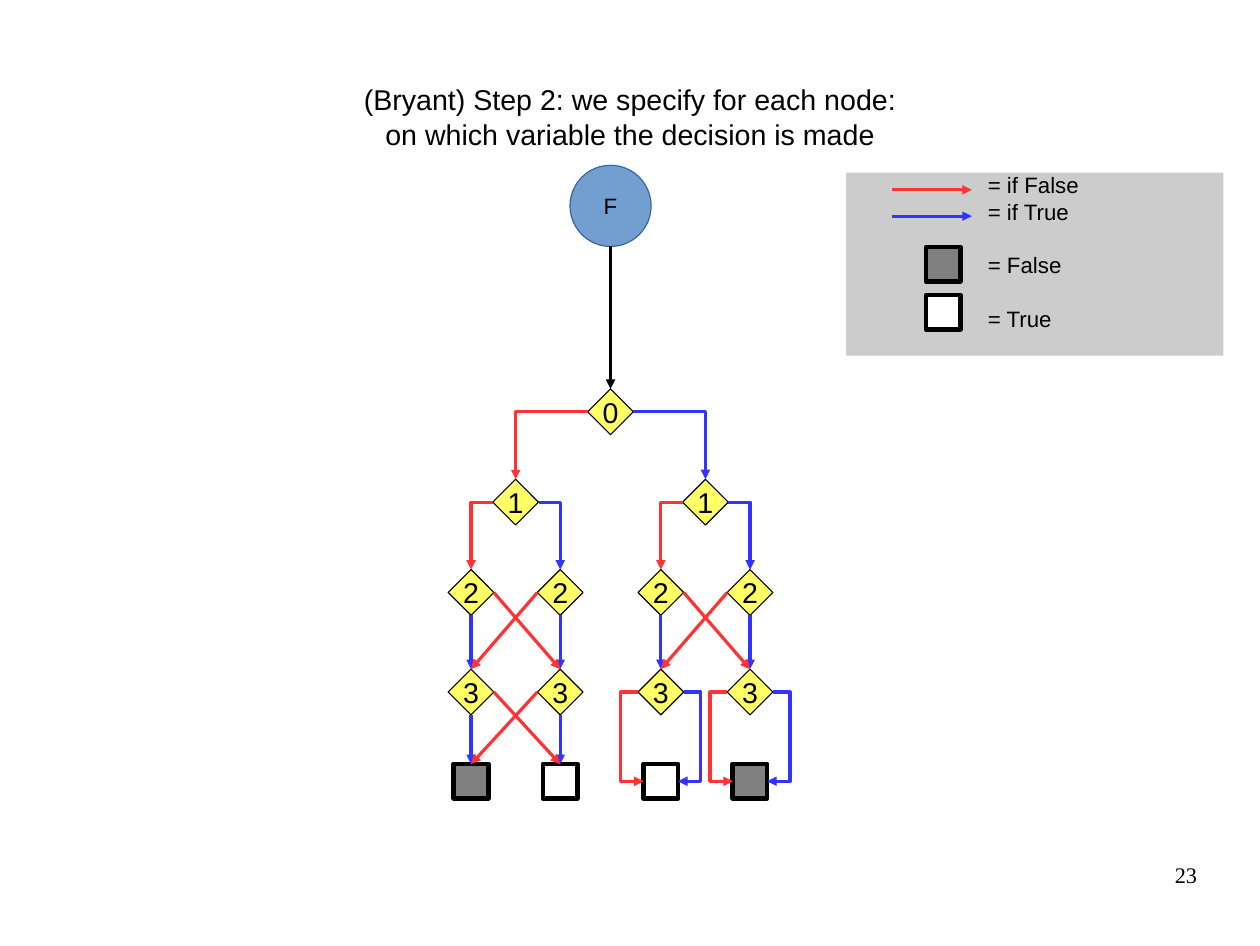
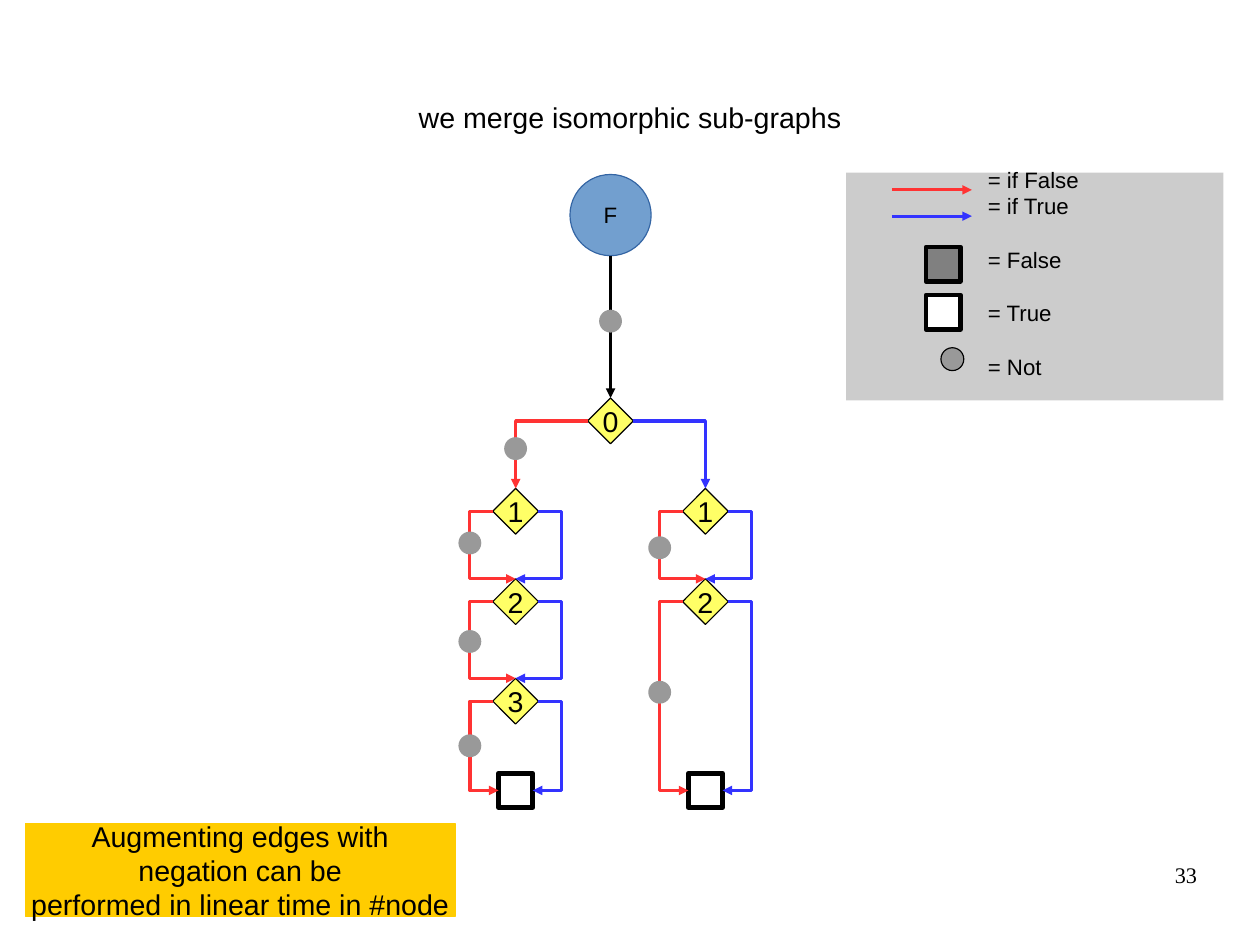
from lxml import etree
from pptx import Presentation
from pptx.dml.color import RGBColor
from pptx.enum.shapes import MSO_CONNECTOR, MSO_SHAPE
from pptx.enum.text import MSO_ANCHOR, PP_ALIGN
from pptx.oxml.ns import qn
from pptx.util import Inches, Pt

RECTANGLE, ELLIPSE, DIAMOND = MSO_SHAPE.RECTANGLE, MSO_SHAPE.OVAL, MSO_SHAPE.DIAMOND
STRAIGHT, ELBOW = MSO_CONNECTOR.STRAIGHT, MSO_CONNECTOR.ELBOW
LEFT, CENTER, RIGHT = PP_ALIGN.LEFT, PP_ALIGN.CENTER, PP_ALIGN.RIGHT
TOP, MIDDLE = MSO_ANCHOR.TOP, MSO_ANCHOR.MIDDLE

COLORS = {
    "text": "000000", "if_false": "FF3333", "if_true": "3333FF", "entry": "000000",
    "False": "808080", "True": "FFFFFF", "node": "FFFF66", "not": "999999",
    "function": "729FCF", "function_line": "3465A4", "legend": "CCCCCC", "note": "FFCC00",
}
SLIDE_SIZE = (11.02, 8.27)
FONT, NUMBER_FONT = "Arial", "Times New Roman"

# Diagram grid: column centres, and row centres measured from the root node
ROOT_X, HALF, QUARTER = 5.34, 0.83, 0.39
COLUMNS = {"m": ROOT_X}
for side_name, side_x in (("l", ROOT_X - HALF), ("r", ROOT_X + HALF)):
    COLUMNS.update({side_name: side_x, side_name + "1": side_x - QUARTER,
                    side_name + "2": side_x + QUARTER})
ROWS = {"F": -1.8, "0": 0, "1": 0.79, "2": 1.58, "3": 2.45, "False": 3.23, "True": 3.23}
NODE, LEAF, FUNCTION, NOT = 0.4, 0.3, 0.71, 0.2

# Edges: from "row column", to "row column", branch, route, place of a negation along it
LAYERED_EDGES = [
    ("F m", "0 m", "entry", "straight", None),
    ("0 m", "1 l", "if_false", "corner", None),
    ("0 m", "1 r", "if_true", "corner", None),
    ("1 l", "2 l1", "if_false", "corner", None),
    ("1 l", "2 l2", "if_true", "corner", None),
    ("1 r", "2 r1", "if_false", "corner", None),
    ("1 r", "2 r2", "if_true", "corner", None),
]
for upper, lower_pair, pair in (("2", ("3", "3"), "l"), ("2", ("3", "3"), "r"),
                                ("3", ("False", "True"), "l")):
    first, second = f"{upper} {pair}1", f"{upper} {pair}2"
    first_end, second_end = f"{lower_pair[0]} {pair}1", f"{lower_pair[1]} {pair}2"
    LAYERED_EDGES += [
        (first, first_end, "if_true", "straight", None),
        (second, second_end, "if_true", "straight", None),
        (first, second_end, "if_false", "cross", None),
        (second, first_end, "if_false", "cross", None),
    ]
for start, leaf in (("3 r1", "True r1"), ("3 r2", "False r2")):
    LAYERED_EDGES += [(start, leaf, branch, "loop", None) for branch in ("if_false", "if_true")]

MERGED_EDGES = [
    ("F m", "0 m", "entry", "straight", 0.46),
    ("0 m", "1 l", "if_false", "corner", 0.41),
    ("0 m", "1 r", "if_true", "corner", None),
]
for start, end, share in (("1 l", "2 l", 0.47), ("2 l", "3 l", 0.52), ("3 l", "True l", 0.5),
                          ("1 r", "2 r", 0.54), ("2 r", "True r", 0.48)):
    MERGED_EDGES += [(start, end, "if_false", "loop", share), (start, end, "if_true", "loop", None)]

LEGEND = ["= if False", "= if True", "= False", "= True"]
SLIDES = [
    {"title": ["(Bryant) Step 2: we specify for each node:",
               "on which variable the decision is made"],
     "number": "23", "root_y": 3.6, "reach": 0.15, "edges": LAYERED_EDGES,
     "legend": LEGEND, "legend_height": 1.6, "legend_text_top": 1.5, "note": []},
    {"title": ["we merge isomorphic sub-graphs"],
     "number": "33", "root_y": 3.68, "reach": 0.2, "edges": MERGED_EDGES,
     "legend": LEGEND + ["= Not"], "legend_height": 1.99, "legend_text_top": 1.45,
     "note": ["Augmenting edges with", "negation can be", "performed in linear time in #node"]},
]


def color(name):
    return RGBColor.from_string(COLORS[name])


def write(shape, lines, size, align=CENTER, anchor=MIDDLE, font=FONT):
    """Fill a shape with one paragraph per line and return the paragraphs."""
    frame = shape.text_frame
    frame.margin_left = frame.margin_right = frame.margin_top = frame.margin_bottom = 0
    frame.word_wrap = False
    frame.vertical_anchor = anchor
    paragraphs = []
    for index, line in enumerate(lines):
        paragraph = frame.add_paragraph() if index else frame.paragraphs[0]
        paragraph.alignment = align
        run = paragraph.add_run()
        run.text = line
        run.font.size, run.font.name = Pt(size), font
        run.font.color.rgb = color("text")
        paragraphs.append(paragraph)
    return paragraphs


def add_text(slide, box, lines, size, **style):
    text_box = slide.shapes.add_textbox(*map(Inches, box))
    paragraphs = write(text_box, lines, size, **style)
    text_box.text_frame.word_wrap = True
    return paragraphs


def add_box(slide, kind, box, fill, line=None, width=0):
    shape = slide.shapes.add_shape(kind, *map(Inches, box))
    shape.shadow.inherit = False
    shape.fill.solid()
    shape.fill.fore_color.rgb = color(fill)
    if line:
        shape.line.color.rgb = color(line)
        shape.line.width = Pt(width)
    else:
        shape.line.fill.background()
    return shape


def centered(x, y, size):
    return x - size / 2, y - size / 2, size, size


def add_arrow(slide, kind, begin, end, line):
    arrow = slide.shapes.add_connector(kind, *map(Inches, begin + end))
    arrow.line.color.rgb = color(line)
    arrow.line.width = Pt(0)
    etree.SubElement(arrow.get_or_add_ln(), qn("a:tailEnd"), type="triangle")
    etree.SubElement(arrow._element.spPr, qn("a:effectLst"))
    return arrow


def add_node(slide, key, root_y):
    label, column = key.split()
    x, y = COLUMNS[column], root_y + ROWS[label]
    if label in ("False", "True"):
        return add_box(slide, RECTANGLE, centered(x, y, LEAF), label, "text", 3)
    if label == "F":
        shape = add_box(slide, ELLIPSE, centered(x, y, FUNCTION), "function", "function_line")
    else:
        shape = add_box(slide, DIAMOND, centered(x, y, NODE), "node", "text")
    write(shape, [label], 14 if label == "F" else 18)
    return shape


def site_point(shape, site):
    """Middle of a side: 0 top, 1 left, 2 bottom, 3 right."""
    across, down = ((0.5, 0), (0, 0.5), (0.5, 1), (1, 0.5))[site]
    return ((shape.left + across * shape.width) / Inches(1),
            (shape.top + down * shape.height) / Inches(1))


def add_edge(slide, nodes, edge, reach):
    start, end, branch, route, negation = edge
    begin_shape, end_shape = nodes[start], nodes[end]
    side = 1 if branch == "if_false" else 3
    begin_site, end_site = side, 0
    if route == "straight":
        begin_site = 2
    elif route == "cross":
        begin_site = 3 if end_shape.left > begin_shape.left else 1
    elif route == "loop" and end.split()[0] in ("False", "True"):
        end_site = side
    begin, finish = site_point(begin_shape, begin_site), site_point(end_shape, end_site)
    bent = route in ("corner", "loop")
    arrow = add_arrow(slide, ELBOW if bent else STRAIGHT, begin, finish, branch)
    if not start.startswith("F"):
        arrow.begin_connect(begin_shape, begin_site)
    arrow.end_connect(end_shape, end_site)

    if bent:
        properties = arrow._element.spPr
        geometry = properties.find(qn("a:prstGeom"))
        if route == "corner":
            geometry.set("prst", "bentConnector2")
        else:
            adjust = round(-reach / abs(finish[0] - begin[0]) * 100000)
            etree.SubElement(geometry.find(qn("a:avLst")), qn("a:gd"),
                             name="adj1", fmla=f"val {adjust}")
        if side == 1:  # leaves to the left: half a turn, with both flips reversed
            frame = properties.find(qn("a:xfrm"))
            frame.set("rot", "10800000")
            for flip in ("flipH", "flipV"):
                frame.set(flip, "0" if frame.get(flip) in ("1", "true") else "1")

    if negation is None:
        return None
    x = begin[0] - reach if route == "loop" else finish[0]
    return x, begin[1] + negation * (finish[1] - begin[1])


def add_diagram(slide, content):
    keys = dict.fromkeys(key for edge in content["edges"] for key in edge[:2])
    nodes = {key: add_node(slide, key, content["root_y"]) for key in keys}
    negations = [add_edge(slide, nodes, edge, content["reach"]) for edge in content["edges"]]
    for point in filter(None, negations):
        add_box(slide, ELLIPSE, centered(*point, NOT), "not")


def add_legend(slide, content):
    add_box(slide, RECTANGLE, (7.4, 1.51, 3.3, content["legend_height"]), "legend")
    for y, branch in ((1.66, "if_false"), (1.89, "if_true")):
        add_arrow(slide, STRAIGHT, (7.8, y), (8.5, y), branch)
    for y, value in ((2.31, "False"), (2.73, "True")):
        add_box(slide, RECTANGLE, centered(8.25, y, LEAF), value, "text", 3)
    if "= Not" in content["legend"]:
        add_box(slide, ELLIPSE, centered(8.33, 3.14, NOT), "not", "text")
    box = (8.64, content["legend_text_top"], 1.6, content["legend_height"])
    paragraphs = add_text(slide, box, content["legend"], 14, align=LEFT, anchor=TOP)
    for index, paragraph in enumerate(paragraphs):
        paragraph.line_spacing = Pt(16.8)
        if index > 1:
            paragraph.space_before = Pt(16.8)


def build_slide(presentation, content):
    slide = presentation.slides.add_slide(presentation.slide_layouts[6])
    add_text(slide, (0.55, 0.33, 9.92, 1.38), content["title"], 18)
    add_legend(slide, content)
    add_diagram(slide, content)
    if content["note"]:
        note = add_box(slide, RECTANGLE, (0.22, 7.2, 3.76, 0.81), "note", "note")
        write(note, content["note"], 18)
    add_text(slide, (7.9, 7.53, 2.57, 0.57), [content["number"]], 14,
             align=RIGHT, anchor=TOP, font=NUMBER_FONT)


def main():
    presentation = Presentation()
    presentation.slide_width, presentation.slide_height = map(Inches, SLIDE_SIZE)
    for content in SLIDES:
        build_slide(presentation, content)
    presentation.save("out.pptx")


if __name__ == "__main__":
    main()
